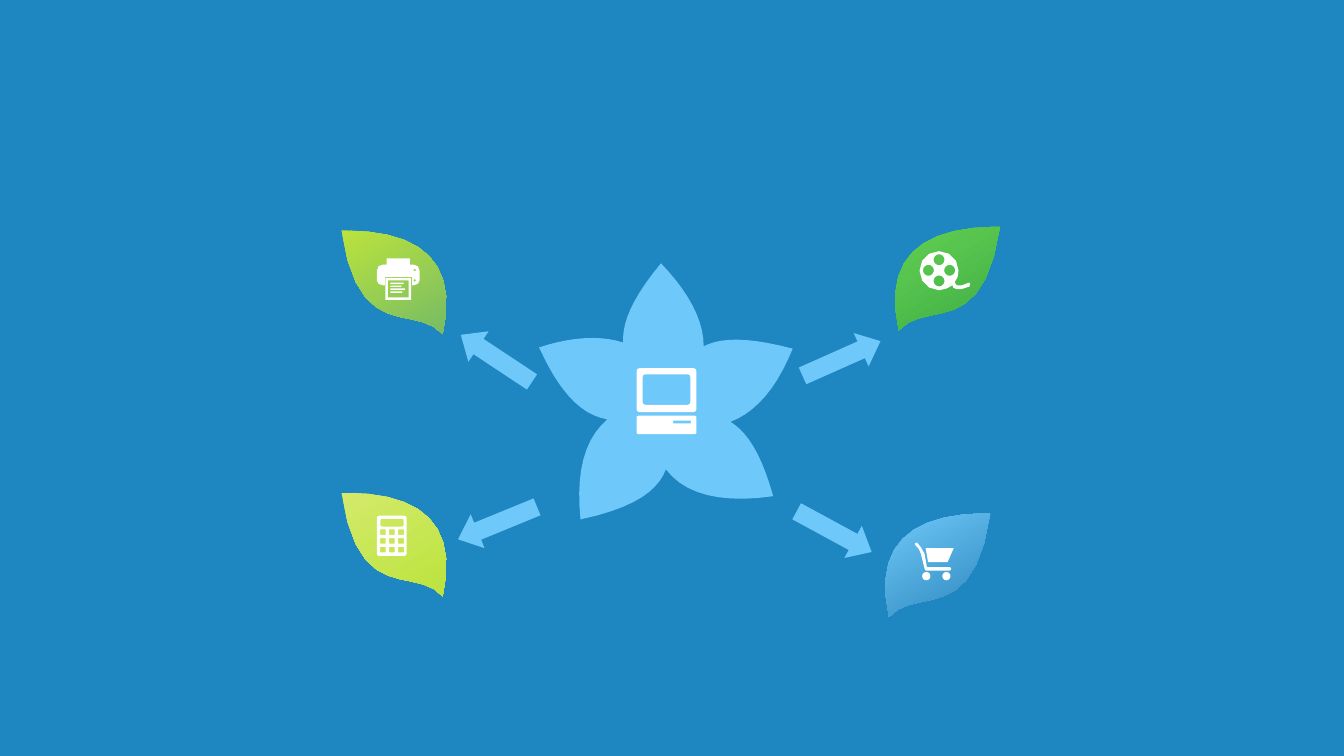
from math import cos, dist, pi, sin

from pptx import Presentation
from pptx.dml.color import RGBColor
from pptx.enum.shapes import MSO_SHAPE
from pptx.util import Inches

COLS, ROWS = 1102, 620  # fine square grid over the slide

OCEAN = RGBColor(0x1E, 0x86, 0xC1)
SKY = RGBColor(0x6F, 0xC8, 0xFA)
STEEL = RGBColor(0x2D, 0x88, 0xBB)
WHITE = RGBColor(0xFF, 0xFF, 0xFF)
LIME = RGBColor(0xBB, 0xE3, 0x3D)
PALE_LIME = RGBColor(0xD4, 0xEA, 0x6B)
SAGE = RGBColor(0x77, 0xBC, 0x65)
GRASS = RGBColor(0x62, 0xCF, 0x51)
GREEN = RGBColor(0x3F, 0xAF, 0x46)


# Outlines: each returns the points of one closed contour
def curve(start, *steps):
    """Steps of 2 numbers are lines; steps of 6 are cubic curves."""
    pts = [start]
    for step in steps:
        if len(step) == 2:
            pts.append(step)
            continue
        nodes = [pts[-1], step[:2], step[2:4], step[4:]]
        count = min(10, max(2, round(dist(nodes[0], nodes[3]) / 7)))
        for i in range(1, count + 1):
            t = i / count
            u = 1 - t
            weights = (u ** 3, 3 * u * u * t, 3 * u * t * t, t ** 3)
            pts.append(tuple(sum(w * n[axis] for w, n in zip(weights, nodes))
                             for axis in (0, 1)))
    return pts


def box(x, y, w, h, r=0):
    """Rectangle with corners of radius r."""
    if not r:
        return [(x, y), (x + w, y), (x + w, y + h), (x, y + h)]
    centers = ((x + w - r, y + h - r), (x + r, y + h - r),
               (x + r, y + r), (x + w - r, y + r))
    count = min(7, 1 + round(r / 1.6))
    whole_circle = w == h == 2 * r
    return [(cx + r * cos((k + i / count) * pi / 2), cy + r * sin((k + i / count) * pi / 2))
            for k, (cx, cy) in enumerate(centers)
            for i in range(count if whole_circle else count + 1)]


def disc(cx, cy, r):
    return box(cx - r, cy - r, 2 * r, 2 * r, r)


LEAF_WIDTH = 86
LEAF = curve((83, 85), (60, 59, 14, 94, 0, 0), (5, 0), (66, 1, 96, 26, 83, 85))

FLOWER = [curve(
    (577, 284), (591, 277, 612, 276, 650, 286), (637, 318, 620, 338, 599, 346),
    (612, 354, 624, 371, 634, 407), (592, 413, 562, 406, 546, 385),
    (540, 401, 523, 416, 476, 426), (472, 388, 479, 360, 498, 344),
    (481, 341, 462, 329, 442, 285), (469, 276, 493, 275, 511, 281),
    (510, 266, 517, 246, 542, 216), (565, 240, 577, 263, 577, 284))]

COMPUTER = [box(522, 302, 49, 36, 2.5), box(527, 307, 39, 25, 2),
            box(522, 341, 49, 15, 1.2), box(552, 345, 14.5, 2.2)]

PRINTER = [
    curve((317, 212), (317, 217), (314, 217), (311, 217, 309, 219, 309, 222),
          (309, 230), (309, 232, 311, 234, 314, 234), (315.5, 234), (315.5, 227),
          (338, 227), (338, 234), (339, 234), (342, 234, 344, 232, 344, 230),
          (344, 222), (344, 219, 342, 217, 339, 217), (336, 217), (336, 212)),
    disc(340, 221.5, 1), disc(340, 230, 1),
    box(316, 228, 21, 18), box(318, 230, 17, 14),
] + [box(320, 231.8 + 2.4 * i, w, 1.2) for i, w in enumerate((11, 9, 12, 10))]

FILM_REEL = [
    curve((770, 206), (779, 206, 786, 213, 786, 222), (786, 226, 785, 229, 783, 231),
          (783, 233, 784, 234, 785, 234), (787, 235, 789, 234, 794, 232),
          (795.5, 232), (795, 235), (790, 237, 786, 238, 784, 237),
          (782, 237, 781, 235, 781, 234), (778, 236, 774, 238, 770, 238),
          (761, 238, 754, 231, 754, 222), (754, 213, 761, 206, 770, 206)),
] + [disc(770 + dx, 221.7 + dy, 4.5) for dx, dy in ((0, 8.7), (0, -8.7), (-8.7, 0), (8.7, 0))]

CALCULATOR = [box(309, 423, 24.5, 33, 2), box(312, 425.5, 19, 6.5, 1.3)] + [
    box(311.8 + 7.4 * col, 434.2 + 7.2 * row, 4.5, 4.5)
    for row in range(3) for col in range(3)]

CART = [
    curve((751, 445), (750, 446), (751, 447.5), (753, 449, 754, 451, 755, 454),
          (756, 458, 757, 462, 758, 466), (759, 468), (779, 468),
          (780, 466.5), (779, 465), (760, 465), (759, 461, 759, 457, 758, 454),
          (756, 450, 754, 447, 752, 445)),
    [(759, 449.5), (761, 461), (777, 461), (782, 449.5)],
    disc(759.5, 472.5, 3.4), disc(776, 472.5, 3.4)]


class Canvas:
    """Holds the slide, its grid cell and the shared style."""

    def __init__(self, prs, background):
        self.s = prs.slides.add_slide(prs.slide_layouts[6])
        self.cell = prs.slide_width / COLS
        self.s.background.fill.solid()
        self.s.background.fill.fore_color.rgb = background

    def style(self, shape, *colors):
        fill = shape.fill
        if len(colors) == 1:
            fill.solid()
            fill.fore_color.rgb = colors[0]
        else:
            fill.gradient()
            fill.gradient_angle = 300
            for stop, color in zip(fill.gradient_stops, colors):
                stop.color.rgb = color
        shape.line.fill.background()
        shape.shadow.inherit = False
        return shape

    def outline(self, contours, *colors):
        scaled = [[(x * self.cell, y * self.cell) for x, y in c] for c in contours]
        builder = self.s.shapes.build_freeform(*scaled[0][0])
        for i, pts in enumerate(scaled):
            if i:
                builder.move_to(*pts[0])
            builder.add_line_segments(pts[1:], close=True)
        return self.style(builder.convert_to_shape(), *colors)

    def leaf(self, x, y, mirrored, colors):
        pts = [(x + (LEAF_WIDTH - px if mirrored else px), y + py) for px, py in LEAF]
        return self.outline([pts], *colors)

    def badge(self, base, icon):
        self.s.shapes.add_group_shape([base, self.outline(icon, WHITE)])

    def arrow(self, x, y, angle):
        sp = self.s.shapes.add_shape(MSO_SHAPE.LEFT_ARROW, *(
            round(v * self.cell) for v in (x, y, 70, 30)))
        sp.adjustments[0], sp.adjustments[1] = 0.5, 0.58
        sp.rotation = angle
        self.style(sp, SKY)


def main():
    prs = Presentation()
    prs.slide_width, prs.slide_height = Inches(COLS / 100), Inches(ROWS / 100)
    canvas = Canvas(prs, OCEAN)

    # Central flower
    canvas.badge(canvas.outline(FLOWER, SKY), COMPUTER)

    # Arrows and leaves: arrow place and angle, leaf place, mirrored, colors, icon
    branches = (
        ((372, 279, 33.5), (280, 189), False, (LIME, SAGE), PRINTER),
        ((655, 279, 156), (734, 186), True, (GRASS, GREEN), FILM_REEL),
        ((373, 414, 337.7), (280, 404), False, (PALE_LIME, LIME), CALCULATOR),
        ((649, 421, 208.5), (726, 421), True, (SKY, STEEL), CART),
    )
    for arrow, place, mirrored, colors, icon in branches:
        canvas.arrow(*arrow)
        canvas.badge(canvas.leaf(*place, mirrored, colors), icon)

    prs.save("out.pptx")


if __name__ == "__main__":
    main()
